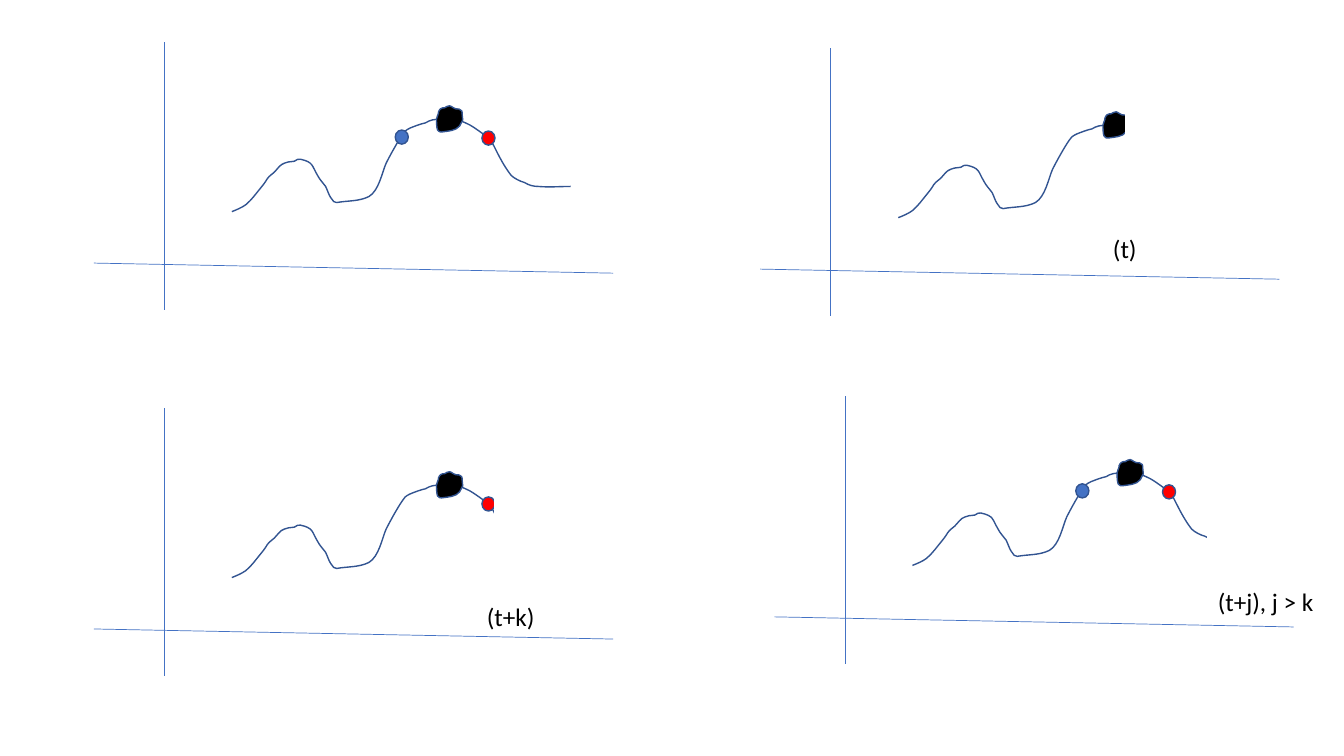
from pptx import Presentation
from pptx.dml.color import RGBColor
from pptx.enum.shapes import MSO_CONNECTOR, MSO_SHAPE
from pptx.oxml.ns import qn
from pptx.util import Inches, Pt
from lxml import etree

STRAIGHT = MSO_CONNECTOR.STRAIGHT
OVAL, RECTANGLE = MSO_SHAPE.OVAL, MSO_SHAPE.RECTANGLE

SLIDE_W, SLIDE_H = 13.33, 7.5
COLORS = {"axis": "4472C4", "outline": "325491", "blue": "4472C4", "red": "FF0000",
          "rock": "000000", "cover": "FFFFFF", "text": "000000"}

# Panel geometry in inches, placed as in the first panel; the others are shifted
AXES = [((1.63, 0.42), (1.63, 3.08)), ((0.93, 2.61), (6.08, 2.71))]
DOTS = {"blue": (3.92, 1.29), "red": (4.78, 1.30)}
DOT_SIZE = (0.13, 0.14)
COVER_SIZE = (2.3, 2.79)

# Start point, then cubic segments: two control points and an end point
CURVE = [(2.3, 2.1),
         (2.35, 2.08, 2.4, 2.06, 2.44, 2.03), (2.5, 1.98, 2.54, 1.92, 2.59, 1.86),
         (2.68, 1.75, 2.62, 1.79, 2.72, 1.71), (2.75, 1.68, 2.78, 1.63, 2.82, 1.62),
         (2.88, 1.6, 2.85, 1.61, 2.92, 1.6), (2.94, 1.59, 2.96, 1.57, 2.98, 1.58),
         (3.11, 1.61, 3.09, 1.64, 3.15, 1.74), (3.17, 1.78, 3.2, 1.81, 3.23, 1.85),
         (3.25, 1.89, 3.26, 1.93, 3.28, 1.96), (3.29, 1.97, 3.3, 1.99, 3.31, 2),
         (3.32, 2.01, 3.33, 2.01, 3.34, 2.01), (3.45, 1.99, 3.56, 2, 3.66, 1.95),
         (3.76, 1.89, 3.79, 1.71, 3.83, 1.62), (3.85, 1.58, 3.96, 1.37, 4.02, 1.3),
         (4.03, 1.29, 4.05, 1.28, 4.07, 1.27), (4.12, 1.25, 4.17, 1.23, 4.22, 1.22),
         (4.24, 1.21, 4.27, 1.19, 4.29, 1.19), (4.43, 1.17, 4.37, 1.18, 4.49, 1.17),
         (4.55, 1.19, 4.6, 1.21, 4.66, 1.24), (4.73, 1.28, 4.86, 1.38, 4.86, 1.38),
         (4.88, 1.41, 4.89, 1.43, 4.9, 1.45), (4.95, 1.55, 5, 1.65, 5.07, 1.74),
         (5.1, 1.77, 5.16, 1.8, 5.2, 1.81), (5.25, 1.84, 5.29, 1.85, 5.34, 1.85),
         (5.45, 1.86, 5.55, 1.85, 5.66, 1.85)]
ROCK = [(4.46, 1.05),
        (4.44, 1.05, 4.43, 1.06, 4.41, 1.07), (4.4, 1.07, 4.38, 1.07, 4.37, 1.08),
        (4.36, 1.08, 4.36, 1.1, 4.35, 1.11), (4.35, 1.12, 4.35, 1.13, 4.34, 1.15),
        (4.34, 1.16, 4.33, 1.17, 4.33, 1.18), (4.33, 1.22, 4.33, 1.26, 4.34, 1.29),
        (4.35, 1.31, 4.37, 1.31, 4.38, 1.31), (4.45, 1.3, 4.52, 1.3, 4.56, 1.25),
        (4.57, 1.23, 4.58, 1.21, 4.59, 1.19), (4.58, 1.16, 4.59, 1.12, 4.58, 1.1),
        (4.57, 1.08, 4.54, 1.08, 4.52, 1.08), (4.47, 1.06, 4.48, 1.05, 4.46, 1.05)]

# Label: text, left, top, width, height; cover: left, top of the part not yet seen
PANELS = [
    {"shift": (0, 0), "dots": ["blue", "red"]},
    {"shift": (6.61, 0.06), "dots": [], "cover": (11.17, -0.07),
     "label": ("(t)", 10.94, 2.27, 0.44, 0.4), "grouped": True},
    {"shift": (0, 3.63), "dots": ["red"], "cover": (4.91, 3.47),
     "label": ("(t+k)", 4.73, 5.92, 0.68, 0.4)},
    {"shift": (6.75, 3.51), "dots": ["blue", "red"], "cover": (11.98, 3.06),
     "label": ("(t+j), j > k", 11.98, 5.77, 1.16, 0.4)},
]

prs = Presentation()
prs.slide_width, prs.slide_height = Inches(SLIDE_W), Inches(SLIDE_H)
slide = prs.slides.add_slide(prs.slide_layouts[6])


def color(key):
    return RGBColor.from_string(COLORS[key])


def style(part, fill, line):
    part.shadow.inherit = False
    if fill:
        part.fill.solid()
        part.fill.fore_color.rgb = color(fill)
    else:
        part.fill.background()
    part.line.color.rgb = color(line)
    part.line.width = Pt(1)


def add_axis(shapes, start, end, dx, dy):
    axis = shapes.add_connector(STRAIGHT, Inches(start[0] + dx), Inches(start[1] + dy),
                                Inches(end[0] + dx), Inches(end[1] + dy))
    axis.line.color.rgb = color("axis")
    axis.line.width = Pt(0.5)
    etree.SubElement(axis.element.spPr, qn("a:effectLst"))


def add_outline(shapes, outline, dx, dy, fill=None):
    anchors = [(Inches(point[-2] + dx), Inches(point[-1] + dy)) for point in outline]
    builder = shapes.build_freeform(*anchors[0])
    builder.add_line_segments(anchors[1:], close=fill is not None)
    part = builder.convert_to_shape()
    style(part, fill, "outline")
    # Turn each straight segment into a cubic one, relative to the shape's corner
    left, top = (min(values) for values in zip(*anchors))
    segments = list(part.element.iter(qn("a:lnTo")))
    for segment, curve in zip(segments, outline[1:]):
        cubic = etree.Element(qn("a:cubicBezTo"))
        for x, y in zip(curve[::2], curve[1::2]):
            etree.SubElement(cubic, qn("a:pt"), x=str(Inches(x + dx) - left),
                             y=str(Inches(y + dy) - top))
        segment.getparent().replace(segment, cubic)


def add_preset(shapes, kind, place, size, fill, line):
    style(shapes.add_shape(kind, *map(Inches, place + size)), fill, line)


def add_label(shapes, text, *place):
    frame = shapes.add_textbox(*map(Inches, place)).text_frame
    frame.word_wrap = False
    run = frame.paragraphs[0].add_run()
    run.text = text
    run.font.size = Pt(18)
    run.font.name = "Calibri"
    run.font.color.rgb = color("text")


# Four panels, each the same drawing with its own dots, cover and label
for panel in PANELS:
    dx, dy = panel["shift"]
    drawing = slide.shapes.add_group_shape().shapes
    for start, end in AXES:
        add_axis(drawing, start, end, dx, dy)
    add_outline(drawing, CURVE, dx, dy)
    add_outline(drawing, ROCK, dx, dy, "rock")
    for dot in panel["dots"]:
        left, top = DOTS[dot]
        add_preset(drawing, OVAL, (left + dx, top + dy), DOT_SIZE, dot, "outline")
    annotations = drawing if panel.get("grouped") else slide.shapes
    if "cover" in panel:
        add_preset(annotations, RECTANGLE, panel["cover"], COVER_SIZE, "cover", "cover")
    if "label" in panel:
        add_label(annotations, *panel["label"])

prs.save("out.pptx")
